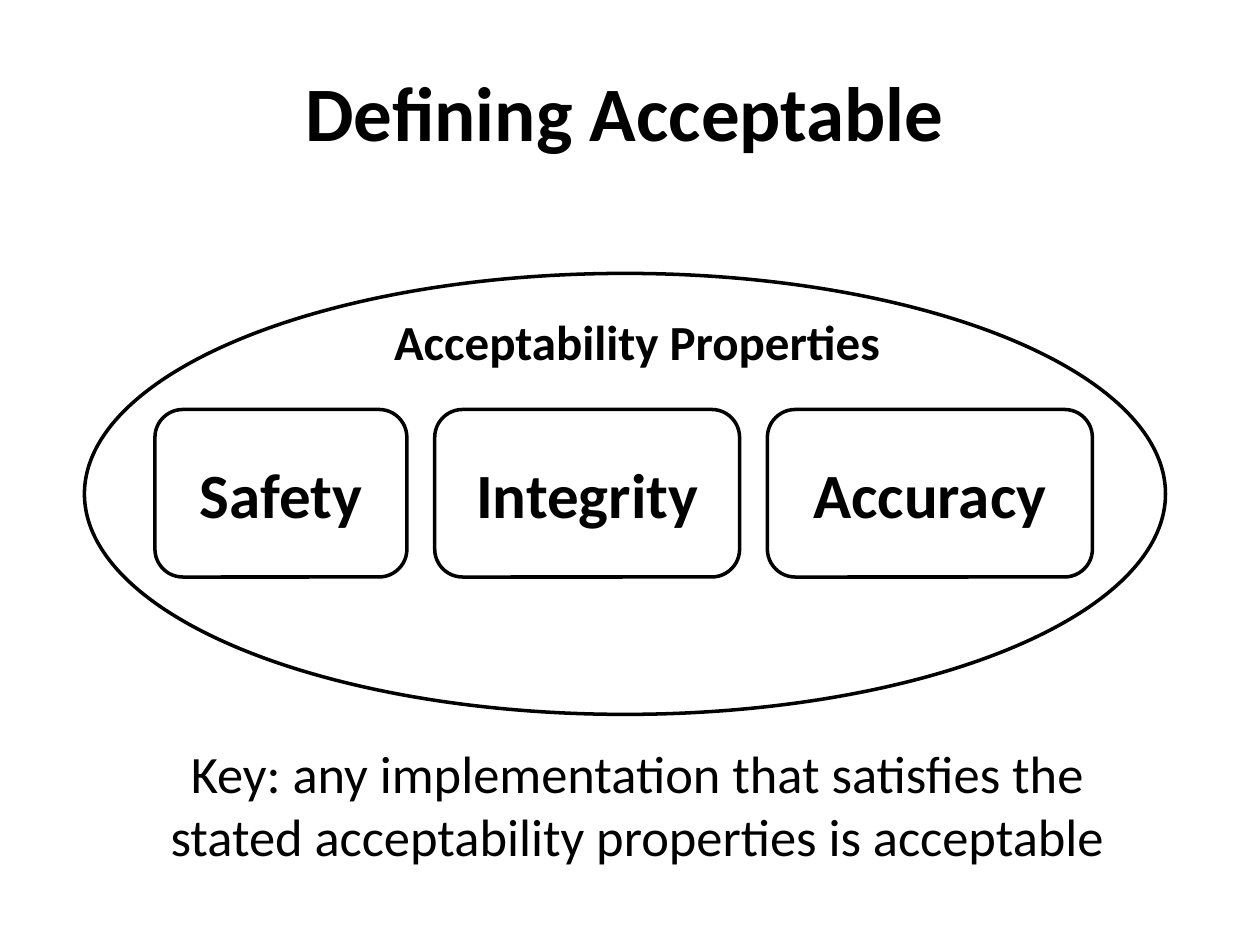
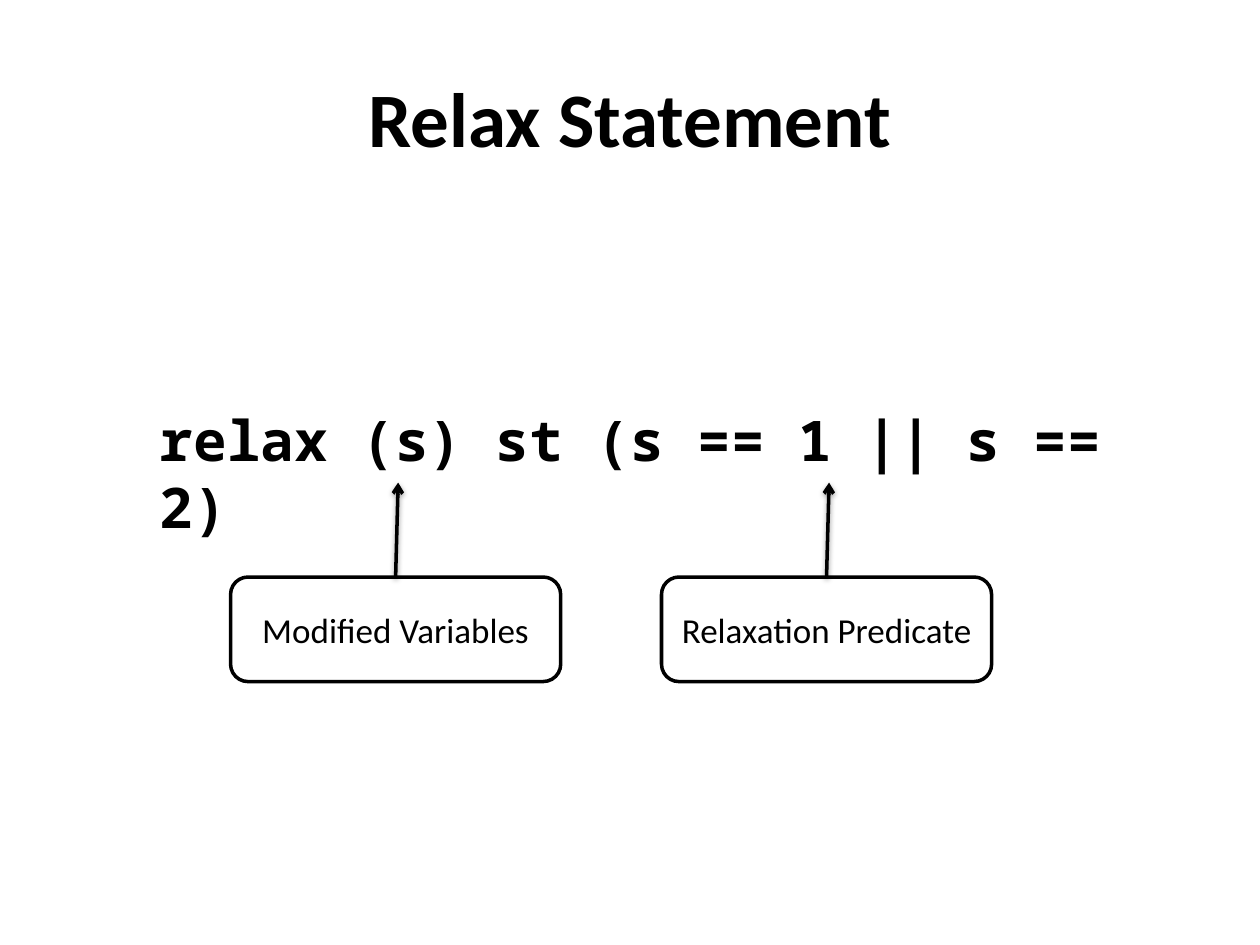
from dataclasses import dataclass

from lxml import etree
from pptx import Presentation
from pptx import util as u
from pptx.dml.color import RGBColor
from pptx.enum import shapes, text
from pptx.oxml import ns

Inches, Pt = u.Inches, u.Pt


@dataclass(frozen=True)
class Theme:
    ink: RGBColor = RGBColor(0, 0, 0)
    paper: RGBColor = RGBColor(255, 255, 255)
    font: str = "Calibri"
    code_font: str = "Noto Sans Mono"
    title: int = 44
    property: int = 36
    code: int = 32
    body: int = 30
    heading: int = 28
    label: int = 20
    line: int = 2


THEME = Theme()


def write(sp, content, size, bold=False, font=THEME.font,
          align=text.PP_ALIGN.CENTER, anchor=text.MSO_ANCHOR.MIDDLE, wrap=True):
    tf = sp.text_frame
    tf.word_wrap = wrap
    tf.auto_size = text.MSO_AUTO_SIZE.NONE
    tf.vertical_anchor = anchor
    p = tf.paragraphs[0]
    p.alignment = align
    r = p.add_run()
    r.text = content
    r.font.name, r.font.size, r.font.bold = font, Pt(size), bold
    r.font.color.rgb = THEME.ink


class Deck:
    def __init__(self, theme):
        self.theme = theme
        self.prs = Presentation()
        self.prs.slide_width, self.prs.slide_height = Inches(10), Inches(7.5)
        self.s = None

    def slide(self, title, left, top):
        self.s = self.prs.slides.add_slide(self.prs.slide_layouts[5])
        sp = self.s.shapes.title
        sp.left, sp.top = Inches(left), Inches(top)
        sp.width, sp.height = Inches(9), Inches(1.25)
        write(sp, title, self.theme.title, bold=True)

    def outline(self, kind, left, top, width, height):
        sp = self.s.shapes.add_shape(kind, Inches(left), Inches(top),
                                     Inches(width), Inches(height))
        sp.shadow.inherit = False
        sp.fill.solid()
        sp.fill.fore_color.rgb = self.theme.paper
        sp.line.color.rgb = self.theme.ink
        sp.line.width = Pt(self.theme.line)
        return sp

    def ellipse(self, *at):
        return self.outline(shapes.MSO_SHAPE.OVAL, *at)

    def box(self, label, *at, **fmt):
        sp = self.outline(shapes.MSO_SHAPE.ROUNDED_RECTANGLE, *at)
        write(sp, label, **fmt)
        return sp

    def textbox(self, content, left, top, width, height, **fmt):
        sp = self.s.shapes.add_textbox(Inches(left), Inches(top),
                                       Inches(width), Inches(height))
        write(sp, content, anchor=text.MSO_ANCHOR.TOP, **fmt)

    def arrow_up(self, box, x, y):
        """Draw a softly shadowed arrow from the top of a box to (x, y)."""
        line = self.s.shapes.add_connector(
            shapes.MSO_CONNECTOR.STRAIGHT, box.left, box.top, Inches(x), Inches(y))
        line.begin_connect(box, 0)
        line.line.color.rgb = self.theme.ink
        line.line.width = Pt(self.theme.line)
        etree.SubElement(line.line._get_or_add_ln(), ns.qn("a:tailEnd"), type="arrow")
        effects = etree.SubElement(line._element.spPr, ns.qn("a:effectLst"))
        shadow = etree.SubElement(
            effects, ns.qn("a:outerShdw"), blurRad=str(Pt(3.1)), dist=str(Pt(1.6)),
            dir=str(90 * 60000), rotWithShape="0")
        color = etree.SubElement(shadow, ns.qn("a:srgbClr"), val=str(self.theme.ink))
        etree.SubElement(color, ns.qn("a:alpha"), val="38000")


def acceptable_slide(deck):
    deck.slide("Defining Acceptable", 0.46, 0.25)
    deck.ellipse(0.67, 2.17, 8.58, 3.5)
    left, gap = 1.23, 0.22
    for name, width in (("Safety", 2), ("Integrity", 2.42), ("Accuracy", 2.58)):
        deck.box(name, left, 3.25, width, 1.33, size=THEME.property, bold=True)
        left += width + gap
    deck.textbox("Key: any implementation that satisfies the stated "
                 "acceptability properties is acceptable",
                 1.12, 5.83, 7.88, 1.11, size=THEME.body)
    deck.textbox("Acceptability Properties", 3.03, 2.42, 4.1, 0.57,
                 size=THEME.heading, bold=True, wrap=False,
                 align=text.PP_ALIGN.LEFT)


def relax_slide(deck):
    deck.slide("Relax Statement", 0.5, 0.3)
    deck.textbox("relax (s) st (s == 1 || s == 2)", 1.17, 3.17, 8.08, 0.83,
                 size=THEME.code, bold=True, font=THEME.code_font,
                 align=text.PP_ALIGN.LEFT)
    width = 2.62
    for label, left in (("Modified Variables", 1.83), ("Relaxation Predicate", 5.25)):
        box = deck.box(label, left, 4.58, width, 0.83, size=THEME.label)
        deck.arrow_up(box, left + width / 2 + 0.02, 3.83)


def main():
    deck = Deck(THEME)
    acceptable_slide(deck)
    relax_slide(deck)
    deck.prs.save("out.pptx")


if __name__ == "__main__":
    main()
